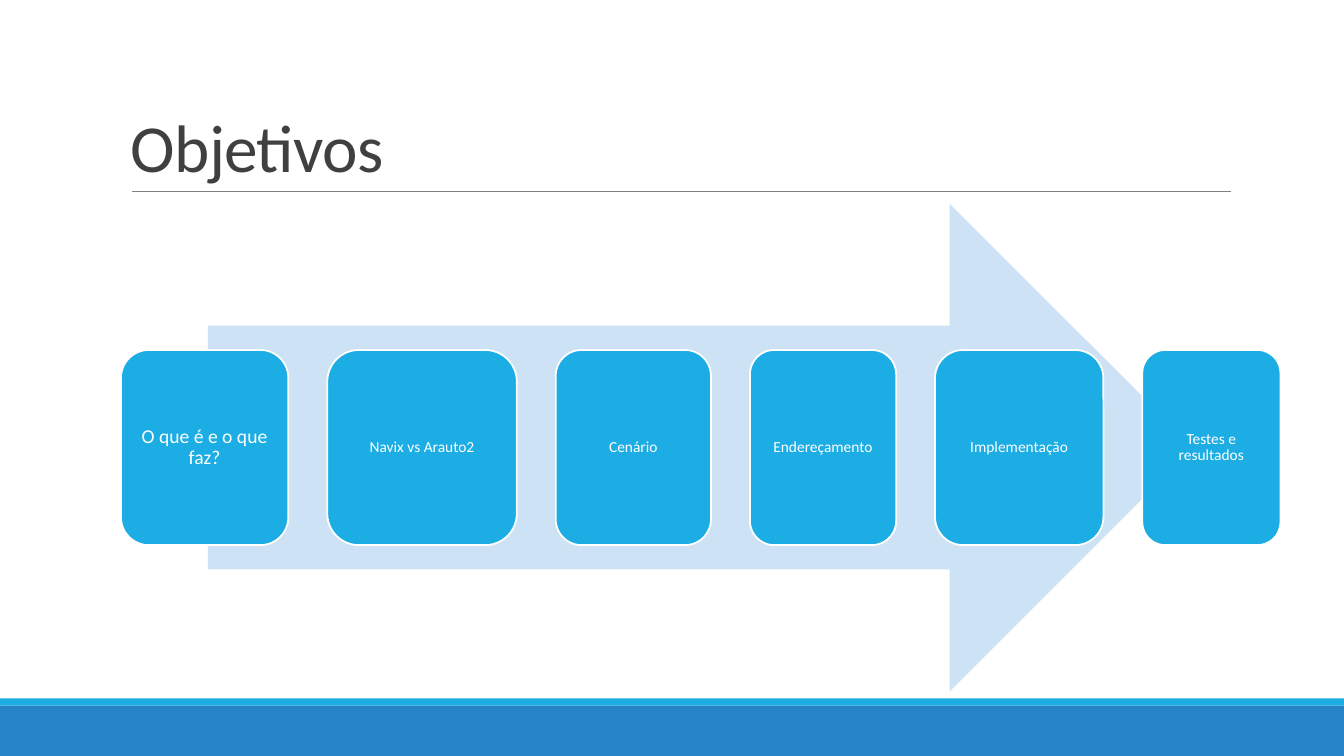
from pptx import Presentation
from pptx.dml.color import RGBColor
from pptx.enum.shapes import MSO_CONNECTOR, MSO_SHAPE
from pptx.enum.text import MSO_ANCHOR, PP_ALIGN
from pptx.oxml.ns import qn
from pptx.util import Inches, Pt
from lxml.etree import SubElement

SLIDE_W, SLIDE_H = 13.33, 7.5
BLUE, CYAN, PALE, WHITE = "2683C6", "1CADE4", "CDE3F5", "FFFFFF"

# Label, box width, text size
STEPS = [
    ("O que é e o que faz?", 1.66, 14),
    ("Navix vs Arauto2", 1.88, 11),
    ("Cenário", 1.54, 11),
    ("Endereçamento", 1.45, 11),
    ("Implementação", 1.67, 11),
    ("Testes e resultados", 1.37, 11),
]


def color(hex_value):
    return RGBColor.from_string(hex_value)


def add_block(slide, preset, box, fill, outline=None):
    block = slide.shapes.add_shape(preset, *map(Inches, box))
    block.shadow.inherit = False
    block.fill.solid()
    block.fill.fore_color.rgb = color(fill)
    if outline:
        block.line.color.rgb = color(outline)
        block.line.width = Pt(1.25)
    else:
        block.line.fill.background()
    return block


def write(frame, text, size, hex_value, align, anchor, spacing):
    frame.word_wrap = True
    frame.vertical_anchor = anchor
    paragraph = frame.paragraphs[0]
    paragraph.alignment = align
    paragraph.line_spacing = spacing
    run = paragraph.add_run()
    run.text = text
    run.font.name = "Calibri"
    run.font.size = Pt(size)
    run.font.color.rgb = color(hex_value)
    return run


def add_footer(slide, box):
    left, top, width, height = box
    stripe = 0.07
    add_block(slide, MSO_SHAPE.RECTANGLE,
              (left, top + stripe, width, height - stripe), BLUE)
    add_block(slide, MSO_SHAPE.RECTANGLE, (left, top, width, stripe), CYAN)


def add_title(slide, box):
    left, top, width, height = box
    # Rule under the heading
    rule_y = Inches(top + height)
    rule = slide.shapes.add_connector(
        MSO_CONNECTOR.STRAIGHT, Inches(left + 0.11), rule_y,
        Inches(left + width + 0.01), rule_y)
    rule.line.color.rgb = color("808080")
    rule.line.width = Pt(0.5)
    SubElement(rule._element.spPr, qn("a:effectLst"))
    # Heading
    heading = slide.shapes.add_textbox(*map(Inches, box))
    run = write(heading.text_frame, "Objetivos", 48, "404040",
                PP_ALIGN.LEFT, MSO_ANCHOR.BOTTOM, 0.85)
    run._r.get_or_add_rPr().set("spc", "-50")


def add_process(slide, box):
    left, top, width, height = box
    # Arrow behind the steps, centred in the box
    arrow_w = width * 0.85
    add_block(slide, MSO_SHAPE.RIGHT_ARROW,
              (left + (width - arrow_w) / 2, top, arrow_w, height), PALE)
    # Steps, with equal gaps between them
    step_h = height * 0.4
    gap = (width - sum(step_w for _, step_w, _ in STEPS)) / (len(STEPS) - 1)
    x = left
    for label, step_w, size in STEPS:
        step = add_block(slide, MSO_SHAPE.ROUNDED_RECTANGLE,
                         (x, top + (height - step_h) / 2, step_w, step_h),
                         CYAN, WHITE)
        frame = step.text_frame
        frame.margin_left = frame.margin_right = Inches(0.05)
        frame.margin_top = frame.margin_bottom = Inches(0.05)
        write(frame, label, size, WHITE, PP_ALIGN.CENTER, MSO_ANCHOR.MIDDLE, 0.9)
        x += step_w + gap


def main():
    deck = Presentation()
    deck.slide_width, deck.slide_height = Inches(SLIDE_W), Inches(SLIDE_H)
    slide = deck.slides.add_slide(deck.slide_layouts[6])
    slide.background.fill.solid()
    slide.background.fill.fore_color.rgb = color(WHITE)
    add_footer(slide, (0, 6.93, SLIDE_W, 0.57))
    add_title(slide, (1.2, 0.31, 11, 1.59))
    add_process(slide, (1.2, 2.02, 11.5, 4.84))
    deck.save("out.pptx")


main()
